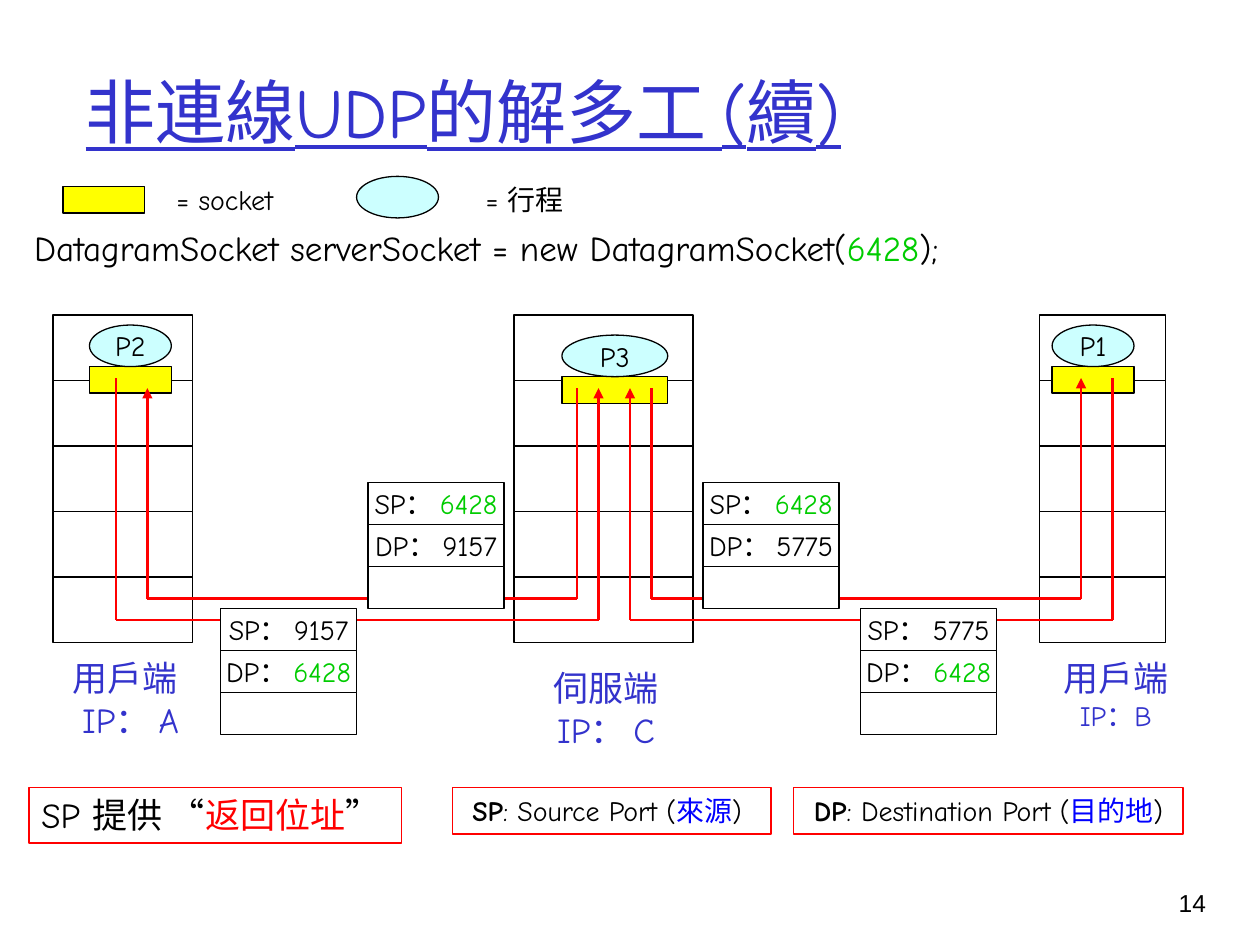
from dataclasses import dataclass

from lxml.etree import SubElement
from pptx import Presentation
from pptx.dml.color import RGBColor
from pptx.enum.shapes import MSO_CONNECTOR as Connector, MSO_SHAPE as Shape
from pptx.enum.text import MSO_ANCHOR as Anchor, MSO_AUTO_SIZE as AutoSize, PP_ALIGN as Align
from pptx.oxml.ns import qn
from pptx.util import Inches, Pt


@dataclass(frozen=True)
class Theme:
    font: str = "Comic Neue"
    number_font: str = "Arial"
    title_size: int = 40
    large: int = 20
    small: int = 16
    number_size: int = 14
    black: str = "000000"
    white: str = "FFFFFF"
    heading: str = "3333CC"
    port: str = "00CC00"
    red: str = "FF0000"
    blue: str = "0000FF"
    socket: str = "FFFF00"
    process: str = "CCFFFF"
    thin: float = 0.75
    wire: float = 1.5


THEME = Theme()


def write_text(frame, *lines, size=THEME.small, color=THEME.black, font=THEME.font,
               align=Align.CENTER, anchor=Anchor.TOP, wrap=False, underline=None):
    """Each line is a string or a list of runs; a run is a string or (text, format)."""
    frame.word_wrap = wrap
    frame.auto_size = AutoSize.NONE
    frame.vertical_anchor = anchor
    for index, line in enumerate(lines):
        para = frame.add_paragraph() if index else frame.paragraphs[0]
        para.alignment = align
        for run in [line] if isinstance(line, str) else line:
            text, style = (run, {}) if isinstance(run, str) else run
            span = para.add_run()
            span.text = text
            span.font.name = font
            span.font.size = Pt(style.get("size", size))
            span.font.bold = style.get("bold", False)
            span.font.underline = underline
            span.font.color.rgb = RGBColor.from_string(style.get("color", color))


def colored(text, color):
    return text, {"color": color}


def bold(text):
    return text, {"bold": True}


class SlideBuilder:
    def __init__(self, slide, theme):
        self.slide = slide
        self.theme = theme

    def placeholder(self, index, place, *lines, **style):
        holder = self.slide.placeholders[index]
        holder.left, holder.top, holder.width, holder.height = map(Inches, place)
        write_text(holder.text_frame, *lines, align=Align.LEFT, wrap=True, **style)
        return holder

    def label(self, place, *lines, **style):
        box = self.slide.shapes.add_textbox(*map(Inches, place))
        write_text(box.text_frame, *lines, **style)

    def shape(self, kind, place, *lines, fill=None, line=THEME.black, **style):
        shape = self.slide.shapes.add_shape(kind, *map(Inches, place))
        shape.shadow.inherit = False
        if fill:
            shape.fill.solid()
            shape.fill.fore_color.rgb = RGBColor.from_string(fill)
        else:
            shape.fill.background()
        shape.line.color.rgb = RGBColor.from_string(line)
        shape.line.width = Pt(self.theme.thin)
        if lines:
            write_text(shape.text_frame, *lines, **style)

    def socket(self, left, top, width=0.65):
        self.shape(Shape.RECTANGLE, (left, top, width, 0.21), fill=self.theme.socket)

    def process(self, left, top, *lines, width=0.65):
        self.shape(Shape.OVAL, (left, top, width, 0.33), *lines,
                   fill=self.theme.process, anchor=Anchor.MIDDLE)

    def stack(self, left, top, width, height, rows):
        """Touching boxes from top to bottom, one per row; None leaves a box empty."""
        for index, row in enumerate(rows):
            self.shape(Shape.RECTANGLE, (left, top + index * height, width, height),
                       *([row] if row else []), fill=self.theme.white, anchor=Anchor.MIDDLE)

    def host(self, left, width, name, process_place, label_place, *lines):
        """A five-layer machine with its process, socket and label."""
        self.stack(left, 2.5, width, 0.52, [None] * 5)
        process_left, process_top, process_width = process_place
        self.socket(process_left, process_top + 0.33, process_width)
        self.process(process_left, process_top, name, width=process_width)
        self.label(label_place, *lines, size=self.theme.large, color=self.theme.heading)

    def wire(self, start, end, arrow=False):
        wire = self.slide.shapes.add_connector(
            Connector.STRAIGHT, *map(Inches, (*start, *end)))
        wire.line.color.rgb = RGBColor.from_string(self.theme.red)
        wire.line.width = Pt(self.theme.wire)
        if arrow:
            SubElement(wire.line._get_or_add_ln(), qn("a:tailEnd"), type="triangle")
        SubElement(wire._element.spPr, qn("a:effectLst"))

    def route(self, start, depth, end):
        """Down from one socket, across at the given depth, up into another."""
        corner, far_corner = (start[0], depth), (end[0], depth)
        self.wire(start, corner)
        self.wire(corner, far_corner)
        self.wire(far_corner, end, arrow=True)

    def packet(self, left, top, source, target):
        rows = [[f"{name}： ", colored(port, self.theme.port if port == "6428" else self.theme.black)]
                for name, port in (("SP", source), ("DP", target))]
        self.stack(left, top, 1.08, 1 / 3, [*rows, None])

    def note(self, place, *runs, **style):
        self.shape(Shape.RECTANGLE, place, list(runs), line=self.theme.red, **style)


def main():
    deck = Presentation()
    deck.slide_width, deck.slide_height = Inches(10), Inches(7.5)
    page = SlideBuilder(deck.slides.add_slide(deck.slide_layouts[1]), THEME)

    page.placeholder(0, (0.58, 0.25, 8.5, 1.25), "非連線UDP的解多工 (續)", size=THEME.title_size,
                     color=THEME.heading, anchor=Anchor.MIDDLE, underline=True)
    code = page.placeholder(
        1, (0.17, 1.75, 9.5, 0.67),
        ["DatagramSocket serverSocket = new DatagramSocket(", colored("6428", THEME.port), ");"],
        size=THEME.large)
    para = code.text_frame.paragraphs[0]
    para.space_before = Pt(0)
    properties = para._p.get_or_add_pPr()
    properties.set("marL", str(Inches(0.38)))
    properties.set("indent", str(Inches(-0.38)))
    SubElement(properties, qn("a:buNone"))

    page.socket(0.5, 1.48)
    page.label((1.3, 1.4, 0.97, 0.37), "= socket")
    page.process(2.83, 1.4)
    page.label((3.73, 1.4, 0.87, 0.37), "= 行程")

    page.host(0.42, 1.11, "P2", (0.71, 2.58, 0.65), (0.39, 5.16, 1.2, 0.77), "用戶端", " IP： A")
    page.host(4.08, 1.42, "P3", (4.46, 2.66, 0.84), (4.25, 5.24, 1.12, 0.77), "伺服端", "IP： C")
    page.host(8.25, 1, "P1", (8.35, 2.58, 0.65), (8.34, 5.16, 1.03, 0.7),
              "用戶端", [("IP：B", {"size": THEME.small})])

    upper, lower = 4.75, 4.92
    page.route((0.92, 3), lower, (4.75, 3.08))
    page.route((4.58, 3.08), upper, (1.17, 3.08))
    page.route((8.83, 3), lower, (5, 3.08))
    page.route((5.17, 3.08), upper, (8.58, 3))

    for left, top, source, target in ((2.92, 3.83, "6428", "9157"), (1.75, 4.83, "9157", "6428"),
                                      (5.58, 3.83, "6428", "5775"), (6.83, 4.83, "5775", "6428")):
        page.packet(left, top, source, target)

    page.note((0.23, 6.25, 2.96, 0.44), "SP 提供 “", colored("返回位址", THEME.red), "”",
              size=THEME.large, align=Align.LEFT)
    page.note((3.59, 6.25, 2.53, 0.37), bold("SP"), ": Source Port (",
              colored("來源", THEME.blue), ") ")
    page.note((6.3, 6.25, 3.09, 0.37), bold("DP"), ": Destination Port (",
              colored("目的地", THEME.blue), ")")
    page.label((8.93, 7, 0.74, 0.5), "14", size=THEME.number_size, font=THEME.number_font,
               align=Align.RIGHT, wrap=True)

    deck.save("out.pptx")


if __name__ == "__main__":
    main()
